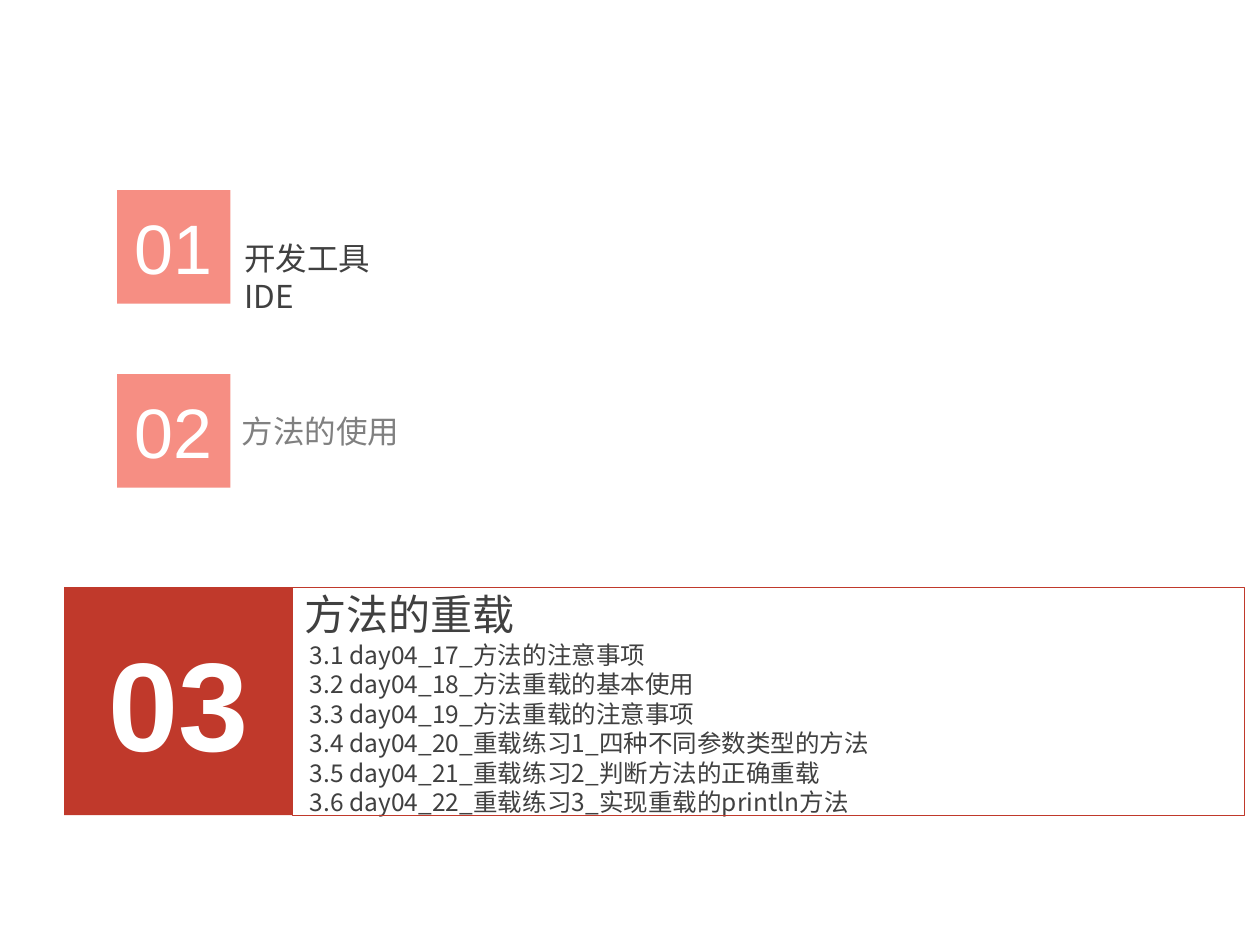
from pptx import Presentation
from pptx.dml.color import RGBColor
from pptx.enum import shapes, text
from pptx.oxml.ns import qn
from pptx.util import Inches, Pt
from lxml import etree

RED, PALE, WHITE, DARK, GREY = "C0392B", "F47264", "FFFFFF", "404040", "808080"
CJK = "Noto Sans CJK SC"
LESSONS = [
    "3.1 day04_17_方法的注意事项",
    "3.2 day04_18_方法重载的基本使用",
    "3.3 day04_19_方法重载的注意事项",
    "3.4 day04_20_重载练习1_四种不同参数类型的方法",
    "3.5 day04_21_重载练习2_判断方法的正确重载",
    "3.6 day04_22_重载练习3_实现重载的println方法",
]


def rgb(value):
    return RGBColor.from_string(value)


def place(sp, x, y, w, h):
    sp.left, sp.top, sp.width, sp.height = map(Inches, (x, y, w, h))


def format_runs(p, size, color, font, bold=False):
    for r in p.runs:
        r.font.size = Pt(size)
        r.font.name = font
        r.font.bold = bold
        r.font.color.rgb = rgb(color)
        etree.SubElement(r.font._element, qn("a:ea"), typeface=font)


def write_lines(sp, lines, size, color, wrap):
    tf = sp.text_frame
    tf.text = "\n".join(lines)
    tf.word_wrap = wrap
    tf.auto_size = text.MSO_AUTO_SIZE.NONE
    tf.vertical_anchor = text.MSO_ANCHOR.TOP
    for p in tf.paragraphs:
        p.alignment = text.PP_ALIGN.LEFT
        p.space_before = Pt(0)
        pPr = p._p.get_or_add_pPr()
        pPr.set("marL", "0")
        pPr.set("indent", "0")
        etree.SubElement(pPr, qn("a:buNone"))
        format_runs(p, size, color, CJK)


def add_rect(s, x, y, w, h):
    sp = s.shapes.add_shape(shapes.MSO_SHAPE.RECTANGLE, *map(Inches, (x, y, w, h)))
    sp.shadow.inherit = False
    return sp


def add_number(s, number, x, y, side, size, fill, alpha=100, bold=False):
    sp = add_rect(s, x, y, side, side)
    sp.fill.solid()
    sp.fill.fore_color.rgb = rgb(fill)
    sp.line.fill.background()
    if alpha < 100:
        clr = sp._element.spPr.find(qn("a:solidFill")).find(qn("a:srgbClr"))
        etree.SubElement(clr, qn("a:alpha"), val=str(alpha * 1000))
    tf = sp.text_frame
    tf.text = number
    tf.word_wrap = False
    tf.vertical_anchor = text.MSO_ANCHOR.MIDDLE
    p = tf.paragraphs[0]
    p.alignment = text.PP_ALIGN.CENTER
    format_runs(p, size, WHITE, "Arial", bold)


def add_frame(s, x, y, w, h):
    sp = add_rect(s, x, y, w, h)
    sp.fill.background()
    sp.line.color.rgb = rgb(RED)
    sp.line.width = Pt(0.5)


def add_label(s, label, x, y, w, color):
    sp = s.shapes.add_textbox(*map(Inches, (x, y, w, 0.4)))
    write_lines(sp, [label], 18, color, False)


def main():
    prs = Presentation()
    prs.slide_width, prs.slide_height = Inches(10), Inches(7.5)
    s = prs.slides.add_slide(prs.slide_layouts[1])
    title, body = s.placeholders

    place(title, 2.32, 4.62, 1.88, 0.5)
    write_lines(title, ["方法的重载"], 24, DARK, False)
    place(body, 2.36, 5.03, 8.11, 1.51)
    write_lines(body, LESSONS, 14, DARK, True)

    add_number(s, "03", 0.51, 4.66, 1.81, 72, RED, bold=True)
    add_frame(s, 2.32, 4.66, 7.56, 1.81)

    for number, y in (("01", 1.51), ("02", 2.97)):
        add_number(s, number, 0.93, y, 0.9, 40, PALE, alpha=80)
    add_label(s, "开发工具\vIDE", 1.84, 1.85, 1.8, DARK)
    add_label(s, "方法的使用", 1.82, 3.22, 1.46, GREY)

    prs.save("out.pptx")


if __name__ == "__main__":
    main()
